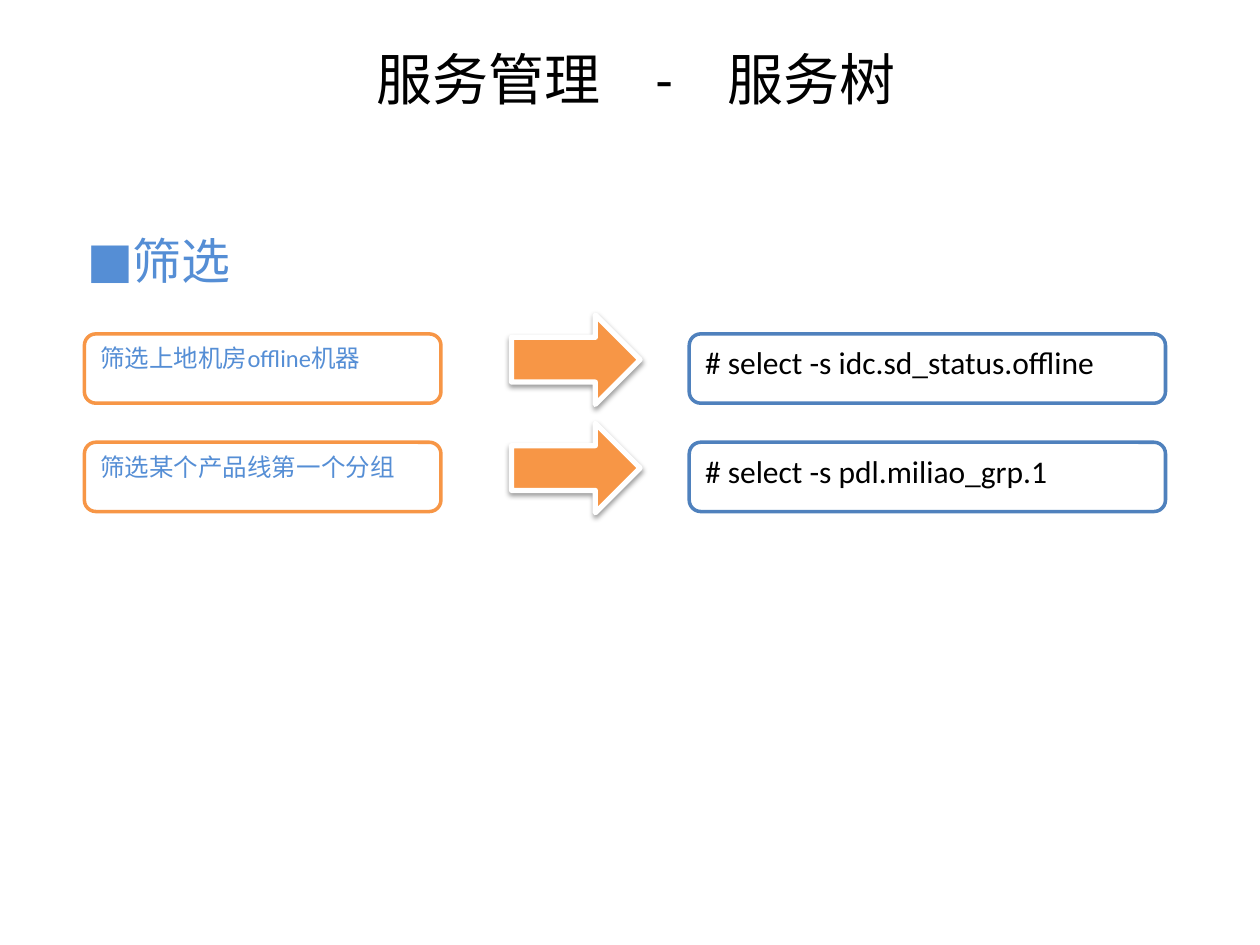
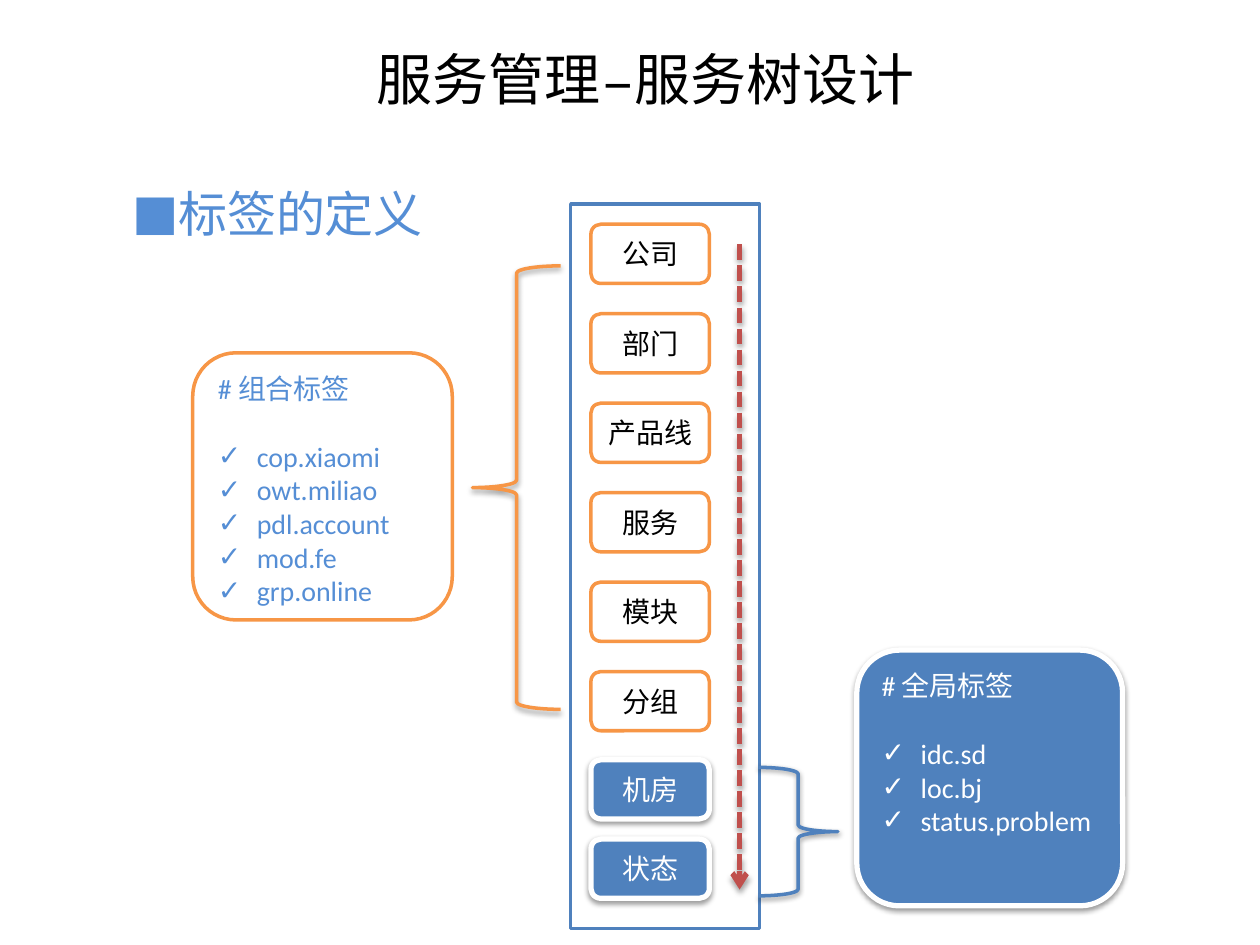
import pptx
import pptx.util
from lxml import etree
from pptx.dml.color import RGBColor
from pptx.enum.dml import MSO_LINE
from pptx.enum.shapes import MSO_CONNECTOR, MSO_SHAPE
from pptx.enum.text import MSO_ANCHOR, PP_ALIGN
from pptx.oxml.ns import qn
from pptx.util import Inches

BLACK = RGBColor(0x00, 0x00, 0x00)
WHITE = RGBColor(0xFF, 0xFF, 0xFF)
BLUE = RGBColor(0x4F, 0x81, 0xBD)
SKY = RGBColor(0x55, 0x8E, 0xD5)
ORANGE = RGBColor(0xF7, 0x96, 0x46)
RED = RGBColor(0xC0, 0x50, 0x4D)
LATIN = "Calibri"
CJK = "Noto Sans CJK JP"


def add_xml(parent, tag, **attrs):
    return etree.SubElement(parent, qn(tag), attrs)


def add_text(p, text, *, size=16, color=BLACK, latin=LATIN, ea=CJK, spacing=None):
    r = p.add_run()
    r.text = text
    r.font.size = pptx.util.Pt(size)
    r.font.color.rgb = color
    r.font.name = latin
    rPr = r._r.get_or_add_rPr()
    add_xml(rPr, "a:ea", typeface=ea)
    if spacing:
        rPr.set("spc", str(spacing * 100))


def add_bullet(p, char, indent=0):
    pPr = p._p.get_or_add_pPr()
    pPr.set("marL", str(Inches(indent)))
    pPr.set("indent", str(-Inches(indent)))
    add_xml(pPr, "a:buFont", typeface=LATIN)
    add_xml(pPr, "a:buChar", char=char)


def set_shadow(s, shown, alpha=38, dist=1.6):
    """Override the theme's effect; call once the line is formatted."""
    effects = add_xml(s._element.spPr, "a:effectLst")
    if shown:
        shadow = add_xml(effects, "a:outerShdw", blurRad=str(pptx.util.Pt(3.1)),
                         dist=str(pptx.util.Pt(dist)), dir="5400000", rotWithShape="0")
        color = add_xml(shadow, "a:srgbClr", val=str(BLACK))
        add_xml(color, "a:alpha", val=str(alpha * 1000))


class Deck:
    def __init__(self):
        self.prs = pptx.Presentation()
        self.prs.slide_width, self.prs.slide_height = Inches(10), Inches(7.5)
        self.slide = None

    def add_slide(self, *title_runs):
        """Each title run is a text and its letter spacing in points."""
        self.slide = self.prs.slides.add_slide(self.prs.slide_layouts[5])
        s = self.slide.shapes.title
        s.left, s.top, s.width, s.height = map(Inches, (2.89, 0.3, 5.23, 0.64))
        s.text_frame.vertical_anchor = MSO_ANCHOR.TOP
        p = s.text_frame.paragraphs[0]
        p.alignment = PP_ALIGN.LEFT
        for text, spacing in title_runs:
            add_text(p, text, size=32, ea="Courier New", spacing=spacing)

    def heading(self, text, left, top, width):
        s = self.slide.shapes.add_textbox(*map(Inches, (left, top, width, 0.77)))
        s.text_frame.word_wrap = True
        p = s.text_frame.paragraphs[0]
        add_bullet(p, "■")
        p.line_spacing = 1.5
        add_text(p, text, size=28, color=SKY, latin=CJK)

    def shape(self, kind, left, top, width, height, *, fill=WHITE, line=ORANGE,
              weight=2, shadow=False):
        s = self.slide.shapes.add_shape(kind, *map(Inches, (left, top, width, height)))
        if fill is None:
            s.fill.background()
        else:
            s.fill.solid()
            s.fill.fore_color.rgb = fill
        s.line.color.rgb = line
        s.line.width = pptx.util.Pt(weight)
        set_shadow(s, shadow)
        return s

    def raised(self, kind, *box, fill=BLUE):
        """Filled shape with a thick white outline and a shadow."""
        return self.shape(kind, *box, fill=fill, line=WHITE, weight=3, shadow=True)

    def brace(self, kind, *box, color):
        self.shape(kind, *box, fill=None, line=color, shadow=True)

    def note(self, text, *box, line, **style):
        s = self.shape(MSO_SHAPE.FLOWCHART_ALTERNATE_PROCESS, *box, line=line)
        s.text_frame.vertical_anchor = MSO_ANCHOR.TOP
        p = s.text_frame.paragraphs[0]
        p.alignment = PP_ALIGN.LEFT
        add_text(p, text, **style)

    def level(self, text, top, is_global):
        add = self.raised if is_global else self.shape
        s = add(MSO_SHAPE.ROUNDED_RECTANGLE, 4.69, top, 0.94, 0.47)
        tf = s.text_frame
        tf.vertical_anchor = MSO_ANCHOR.MIDDLE
        p = tf.paragraphs[0]
        p.alignment = PP_ALIGN.CENTER
        add_text(p, text, color=WHITE if is_global else BLACK, latin=CJK)

    def tag_card(self, title, tags, *box, is_global):
        add = self.raised if is_global else self.shape
        tf = add(MSO_SHAPE.FLOWCHART_ALTERNATE_PROCESS, *box).text_frame
        tf.vertical_anchor = MSO_ANCHOR.TOP
        color = WHITE if is_global else SKY
        p = tf.paragraphs[0]
        p.alignment = PP_ALIGN.LEFT
        add_text(p, title, color=color, ea=LATIN)
        for i, tag in enumerate(tags):
            p = tf.add_paragraph()
            p.alignment = PP_ALIGN.LEFT
            add_bullet(p, "✓", 0.31)
            if i == 0:
                p.space_before = pptx.util.Pt(19.5)
            add_text(p, tag, color=color)

    def dashed_arrow(self, x1, y1, x2, y2):
        s = self.slide.shapes.add_connector(MSO_CONNECTOR.STRAIGHT,
                                            *map(Inches, (x1, y1, x2, y2)))
        s.line.color.rgb = RED
        s.line.width = pptx.util.Pt(3)
        s.line.dash_style = MSO_LINE.SQUARE_DOT
        add_xml(s.line._get_or_add_ln(), "a:tailEnd", type="arrow")
        set_shadow(s, True, alpha=35, dist=1.8)


def add_filter_slide(deck):
    deck.add_slide(("服务管理", None), (" - ", 12), ("服务树", None))
    deck.heading("筛选", 0.59, 1.55, 8.91)
    examples = [
        ("筛选上地机房offline机器", "# select -s idc.sd_status.offline"),
        ("筛选某个产品线第一个分组", "# select -s pdl.miliao_grp.1"),
    ]
    for i, (goal, command) in enumerate(examples):
        top = 2.65 + 0.86 * i
        deck.note(goal, 0.67, top, 2.83, 0.55, line=ORANGE, size=14, color=SKY)
        deck.note(command, 5.47, top, 3.78, 0.55, line=BLUE, size=18)
        deck.raised(MSO_SHAPE.RIGHT_ARROW, 4.06, top - 0.15, 1.02, 0.71, fill=ORANGE)


def add_tag_slide(deck):
    deck.add_slide(("服务管理–服务树设计", None))
    deck.heading("标签的定义", 0.95, 1.17, 8.27)
    deck.shape(MSO_SHAPE.RECTANGLE, 4.53, 1.62, 1.5, 5.75, line=BLUE)
    for i, name in enumerate(["公司", "部门", "产品线", "服务", "模块", "分组"]):
        deck.level(name, 1.78 + 0.71 * i, is_global=False)
    for i, name in enumerate(["机房", "状态"]):
        deck.level(name, 6.03 + 0.63 * i, is_global=True)
    deck.dashed_arrow(5.87, 1.94, 5.87, 7.06)
    deck.tag_card("# 组合标签",
                  ["cop.xiaomi", "owt.miliao", "pdl.account", "mod.fe", "grp.online"],
                  1.53, 2.8, 2.06, 2.12, is_global=False)
    deck.tag_card("# 全局标签", ["idc.sd", "loc.bj", "status.problem"],
                  6.8, 5.16, 2.11, 2.03, is_global=True)
    deck.brace(MSO_SHAPE.LEFT_BRACE, 3.75, 2.11, 0.7, 3.52, color=ORANGE)
    deck.brace(MSO_SHAPE.RIGHT_BRACE, 6.02, 6.09, 0.63, 1.02, color=BLUE)


def main():
    deck = Deck()
    add_filter_slide(deck)
    add_tag_slide(deck)
    deck.prs.save("out.pptx")


if __name__ == "__main__":
    main()
